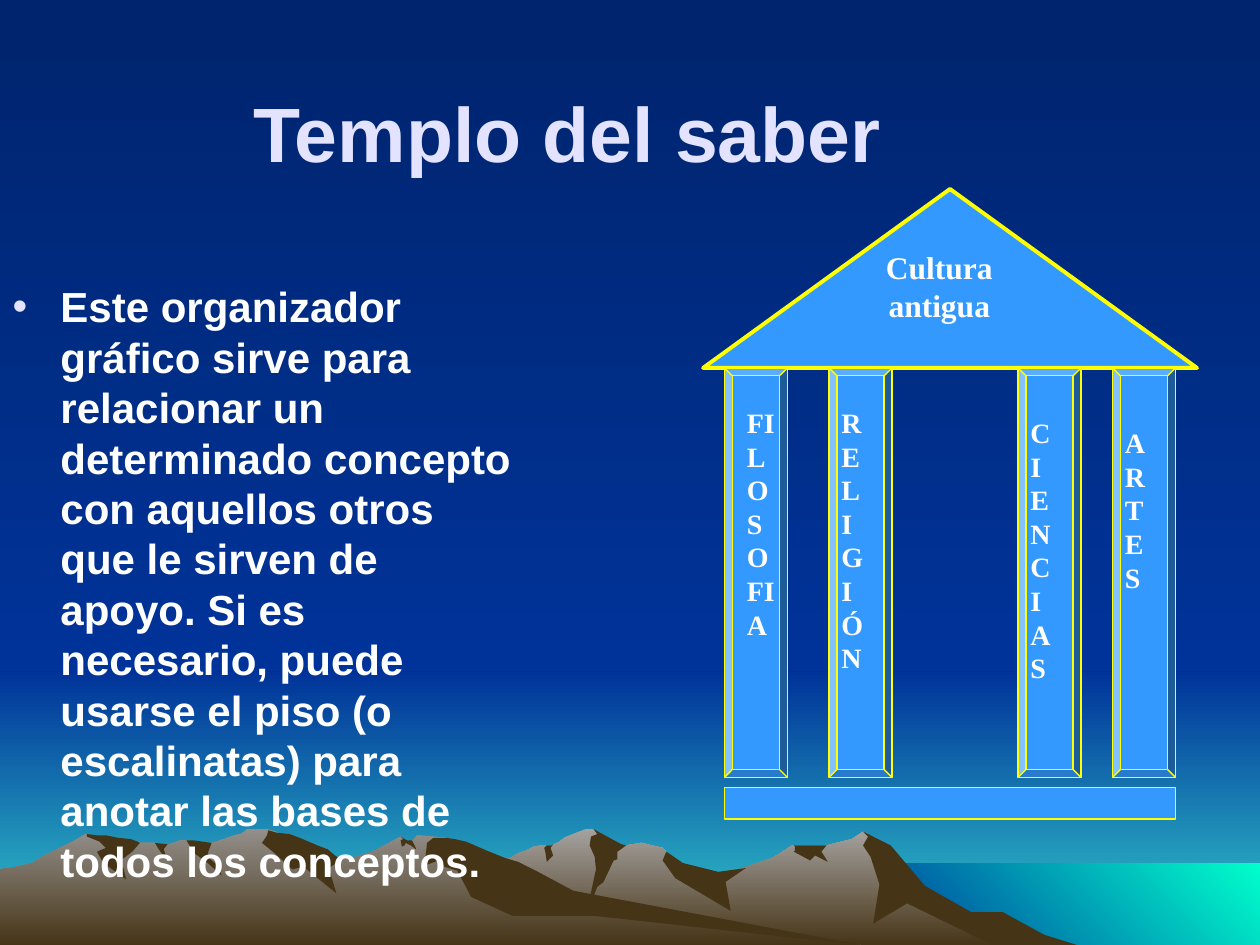
import pptx
import pptx.util
from pptx.dml.color import RGBColor
from pptx.enum.shapes import MSO_SHAPE
from pptx.enum.text import MSO_ANCHOR, MSO_AUTO_SIZE, PP_ALIGN
from pptx.oxml.ns import qn
from lxml import etree

PX = 9144
COLORS = {
    "night": "00246D", "blue": "003399", "teal": "33CCCC", "aqua": "00FFCC",
    "stone": "A5A29F", "rock": "938F8B", "earth": "463416",
    "sky": "3399FF", "yellow": "FFFF00", "lilac": "E3E3FF", "white": "FFFFFF",
}

RIGHT_RANGE = [
    (802, 740), (778, 727), (764, 723), (723, 698), (702, 671), (685, 660), (676, 666),
    (656, 671), (629, 671), (613, 681), (566, 697), (536, 690), (529, 676), (526, 673),
    (509, 669), (497, 671), (486, 673), (474, 661), (471, 658), (465, 658), (450, 664),
    (448, 665), (444, 668), (438, 671), (430, 671), (424, 672), (418, 675), (412, 677),
    (405, 681), (399, 683), (394, 685), (355, 698), (327, 709), (277, 739), (258, 751),
    (821, 751)]
RIGHT_SHADOWS = [
    [(796, 724), (771, 724), (734, 703), (707, 671), (685, 660), (689, 664), (685, 671),
     (691, 680), (698, 702), (693, 733), (720, 717), (792, 752), (858, 751), (829, 742)],
    [(471, 658), (474, 662), (469, 664), (468, 671), (472, 680), (473, 690), (465, 727),
     (474, 704), (479, 700), (487, 683), (490, 682), (490, 676), (497, 671), (493, 670)],
    [(529, 676), (528, 678), (526, 683), (536, 697), (580, 723), (576, 700), (592, 689),
     (570, 692), (542, 685)],
    [(650, 671), (630, 671), (631, 672), (631, 675), (630, 676), (643, 683), (647, 679),
     (657, 684), (652, 676), (656, 671)],
    [(433, 677), (432, 673), (434, 671), (438, 671), (439, 670), (437, 673), (439, 679),
     (434, 684)],
]
LEFT_RANGE = [
    (690, 751), (667, 748), (432, 712), (354, 665), (331, 663), (327, 668), (323, 668),
    (318, 664), (296, 676), (279, 681), (271, 682), (260, 676), (236, 681), (223, 663),
    (219, 660), (212, 658), (196, 658), (194, 660), (191, 662), (186, 663), (178, 666),
    (168, 669), (160, 671), (148, 667), (143, 667), (132, 671), (128, 671), (123, 669),
    (111, 669), (94, 671), (68, 662), (56, 669), (50, 672), (46, 674), (35, 679),
    (26, 685), (14, 688), (0, 690), (0, 751)]
LEFT_SHADOWS = [
    [(212, 663), (208, 669), (219, 678), (232, 690), (241, 688), (267, 709), (261, 689),
     (271, 682), (266, 679), (260, 674), (252, 671), (245, 668), (238, 665), (230, 662),
     (220, 661), (213, 659)],
    [(370, 668), (361, 666), (354, 665), (344, 665), (339, 669), (337, 687), (348, 683),
     (353, 688), (363, 691), (374, 712), (407, 727), (472, 727), (690, 751), (683, 750),
     (455, 707), (427, 692), (411, 684), (401, 681), (386, 675)],
    [(318, 667), (320, 666), (318, 664), (323, 667), (327, 667), (330, 673), (330, 674),
     (326, 671), (322, 669), (321, 671), (319, 672)],
    [(154, 667), (161, 668), (168, 669), (165, 677), (167, 682), (173, 687), (176, 695),
     (165, 685), (154, 677), (148, 667)],
    [(133, 670), (130, 674), (132, 680), (129, 678), (126, 674), (123, 669)],
    [(109, 668), (111, 669), (105, 676), (93, 685), (98, 689), (100, 698), (82, 685),
     (77, 676), (84, 673), (79, 668), (69, 664), (69, 662), (77, 663), (84, 663),
     (94, 665), (104, 666)],
]


class TempleSlide:
    def __init__(self, deck):
        self.page = deck.slides.add_slide(deck.slide_layouts[1])

    def color(self, name):
        return RGBColor.from_string(COLORS[name])

    def paint(self, fill, look):
        if isinstance(look, str):
            fill.solid()
            fill.fore_color.rgb = self.color(look)
            return
        start, end, angle = look
        fill.gradient()
        fill.gradient_angle = angle
        for stop, name in zip(fill.gradient_stops, (start, end)):
            stop.color.rgb = self.color(name)

    def finish(self, shape, look, line):
        shape.shadow.inherit = False
        self.paint(shape.fill, look)
        if line:
            shape.line.color.rgb = self.color("yellow")
            shape.line.width = pptx.util.Pt(line)
        else:
            shape.line.fill.background()

    def shape(self, kind, place, look, line=None):
        shape = self.page.shapes.add_shape(kind, *(n * PX for n in place))
        self.finish(shape, look, line)

    def outline(self, points, look):
        builder = self.page.shapes.build_freeform(*points[0], scale=PX)
        builder.add_line_segments(points[1:], close=True)
        self.finish(builder.convert_to_shape(), look, None)

    def set_text(self, box, text, size, font, color, align):
        box.text_frame.word_wrap = True
        para = box.text_frame.paragraphs[0]
        para.text = text
        para.alignment = align
        para.font.size = pptx.util.Pt(size)
        para.font.name = font
        para.font.bold = True
        para.font.color.rgb = self.color(color)
        return para

    def label(self, place, text, size, align=PP_ALIGN.LEFT):
        box = self.page.shapes.add_textbox(*(n * PX for n in place))
        para = self.set_text(box, text, size, "Times New Roman", "white", align)
        para.line_spacing = pptx.util.Pt(size * 1.2)

    def move_to_front(self, box, place):
        box.left, box.top, box.width, box.height = (n * PX for n in place)
        box.element.getparent().append(box.element)
        box.text_frame.auto_size = MSO_AUTO_SIZE.NONE

    def title(self, place, text):
        box = self.page.shapes.title
        self.move_to_front(box, place)
        box.text_frame.vertical_anchor = MSO_ANCHOR.MIDDLE
        self.set_text(box, text, 44, "Arial", "lilac", PP_ALIGN.CENTER)

    def body(self, place, text):
        box = self.page.placeholders[1]
        self.move_to_front(box, place)
        box.text_frame.vertical_anchor = MSO_ANCHOR.TOP
        props = box.text_frame.paragraphs[0]._p.get_or_add_pPr()
        props.set("marL", str(38 * PX))
        props.set("indent", str(-38 * PX))
        bullet_color = etree.SubElement(props, qn("a:buClr"))
        etree.SubElement(bullet_color, qn("a:srgbClr"), val=COLORS["lilac"])
        etree.SubElement(props, qn("a:buFont"), typeface="Arial")
        etree.SubElement(props, qn("a:buChar"), char="•")
        para = self.set_text(box, text, 24, "Arial", "white", PP_ALIGN.LEFT)
        para.space_before = pptx.util.Pt(0)
        para.line_spacing = pptx.util.Pt(28.8)


def main():
    deck = pptx.Presentation()
    deck.slide_width, deck.slide_height = 1000 * PX, 750 * PX
    temple = TempleSlide(deck)
    night_sky = ("night", "blue", 270)
    temple.paint(temple.page.background.fill, night_sky)

    temple.shape(MSO_SHAPE.RECTANGLE, (0, 533, 1000, 217), ("blue", "teal", 270))
    temple.shape(MSO_SHAPE.RECTANGLE, (0, 0, 1000, 533), night_sky)
    temple.shape(MSO_SHAPE.RECTANGLE, (683, 685, 317, 65), ("blue", "aqua", 45))
    for mountains, top, shadows in ((RIGHT_RANGE, "stone", RIGHT_SHADOWS),
                                    (LEFT_RANGE, "rock", LEFT_SHADOWS)):
        temple.outline(mountains, (top, "earth", 270))
        for shadow in shadows:
            temple.outline(shadow, "earth")

    temple.title((75, 17, 751, 175), "Templo del saber")
    temple.body((0, 218, 417, 492),
                "Este organizador gráfico sirve para relacionar un determinado concepto "
                "con aquellos otros que le sirven de apoyo. Si es necesario, puede usarse "
                "el piso (o escalinatas) para anotar las bases de todos los conceptos.")

    temple.shape(MSO_SHAPE.ISOSCELES_TRIANGLE, (558, 150, 392, 142), "sky", 2.25)
    temple.label((658, 192, 175, 70), "Cultura antigua", 18, PP_ALIGN.CENTER)
    columns = [(575, 583, 317, 251, "FILOSOFIA"), (658, 658, 317, 224, "RELIGIÓN"),
               (808, 808, 325, 224, "CIENCIAS"), (883, 883, 333, 144, "ARTES")]
    for left, text_left, text_top, text_height, name in columns:
        temple.shape(MSO_SHAPE.BEVEL, (left, 292, 50, 325), "sky", 0.75)
        temple.label((text_left, text_top, 42, text_height), name, 16)
    temple.shape(MSO_SHAPE.RECTANGLE, (575, 625, 358, 25), "sky", 0.75)
    deck.save("out.pptx")


if __name__ == "__main__":
    main()
